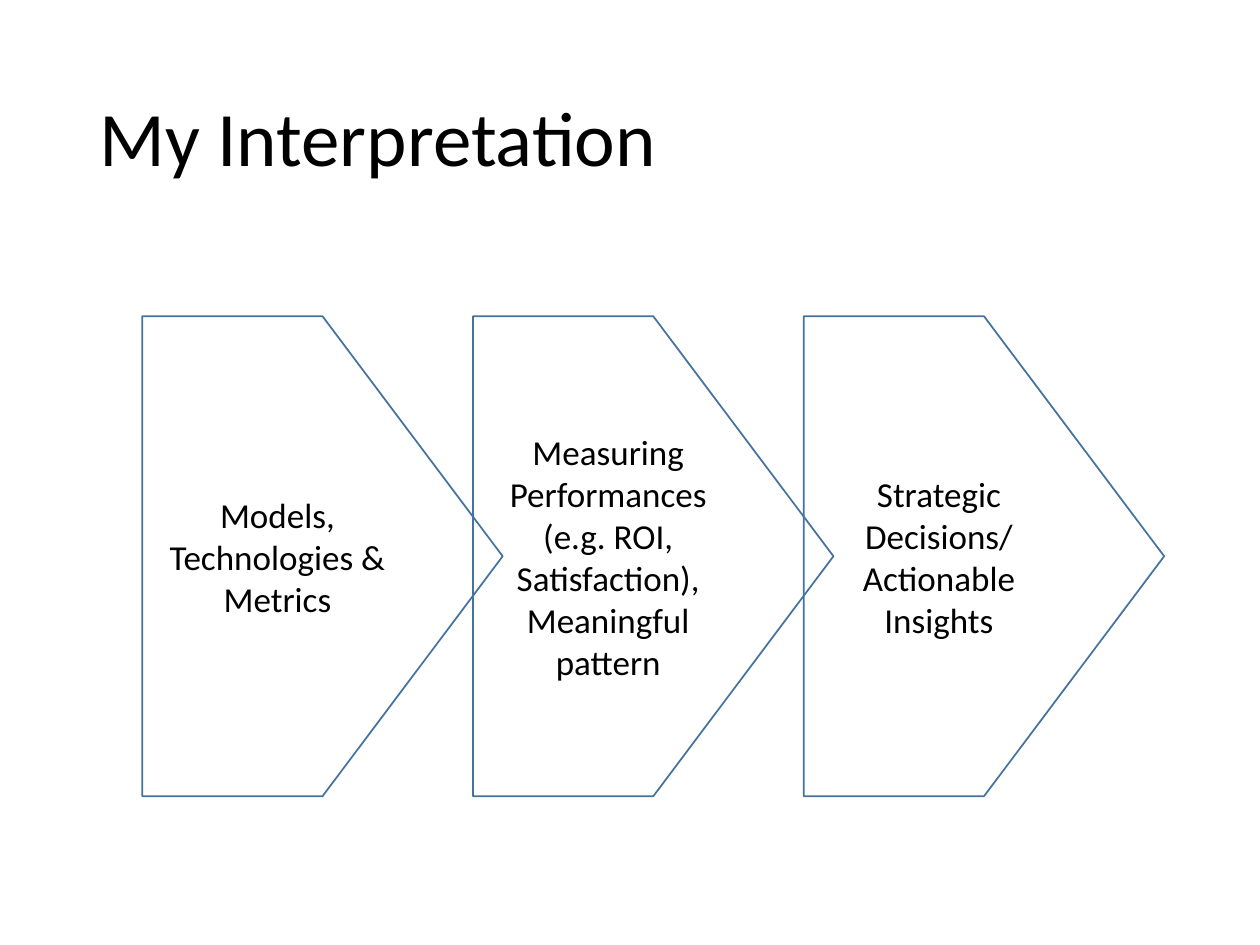
"""Build a slide with a title and three overlapping pentagon steps."""
from dataclasses import dataclass

from pptx import Presentation
from pptx.dml.color import RGBColor
from pptx.enum.shapes import MSO_SHAPE
from pptx.enum.text import MSO_ANCHOR, PP_ALIGN
from pptx.util import Inches, Pt

PENTAGON = MSO_SHAPE.PENTAGON
MIDDLE = MSO_ANCHOR.MIDDLE
LEFT, CENTER = PP_ALIGN.LEFT, PP_ALIGN.CENTER


@dataclass(frozen=True)
class Theme:
    font: str = "Calibri"
    text: RGBColor = RGBColor(0x00, 0x00, 0x00)
    outline: RGBColor = RGBColor(0x43, 0x73, 0x9E)
    title_size: Pt = Pt(44)
    step_size: Pt = Pt(20)
    outline_width: Pt = Pt(1)


def write_text(shape, text, size, alignment):
    """Put one formatted paragraph, centred vertically, into a shape."""
    frame = shape.text_frame
    frame.text = text
    frame.word_wrap = True
    frame.vertical_anchor = MIDDLE
    paragraph = frame.paragraphs[0]
    paragraph.alignment = alignment
    paragraph.font.name = theme.font
    paragraph.font.size = size
    paragraph.font.color.rgb = theme.text
    return paragraph


theme = Theme()
steps = [
    "Models, Technologies & Metrics",
    "Measuring Performances (e.g. ROI, Satisfaction), Meaningful pattern",
    "Strategic Decisions/ Actionable Insights",
]
first_left, step_top = Inches(1.13), Inches(2.51)
step_width, step_height = Inches(2.86), Inches(3.81)
column_pitch = Inches(2.625)

presentation = Presentation()
presentation.slide_width, presentation.slide_height = Inches(10), Inches(7.5)
slide = presentation.slides.add_slide(presentation.slide_layouts[5])

title = slide.shapes.title
title.left, title.top = Inches(0.69), Inches(0.4)
title.width, title.height = Inches(8.62), Inches(1.45)
write_text(title, "My Interpretation", theme.title_size, LEFT).line_spacing = 0.9

for column, label in enumerate(steps):
    step = slide.shapes.add_shape(
        PENTAGON, first_left + column * column_pitch, step_top, step_width, step_height
    )
    step.shadow.inherit = False
    step.fill.background()
    step.line.color.rgb = theme.outline
    step.line.width = theme.outline_width
    write_text(step, label, theme.step_size, CENTER)

presentation.save("out.pptx")
